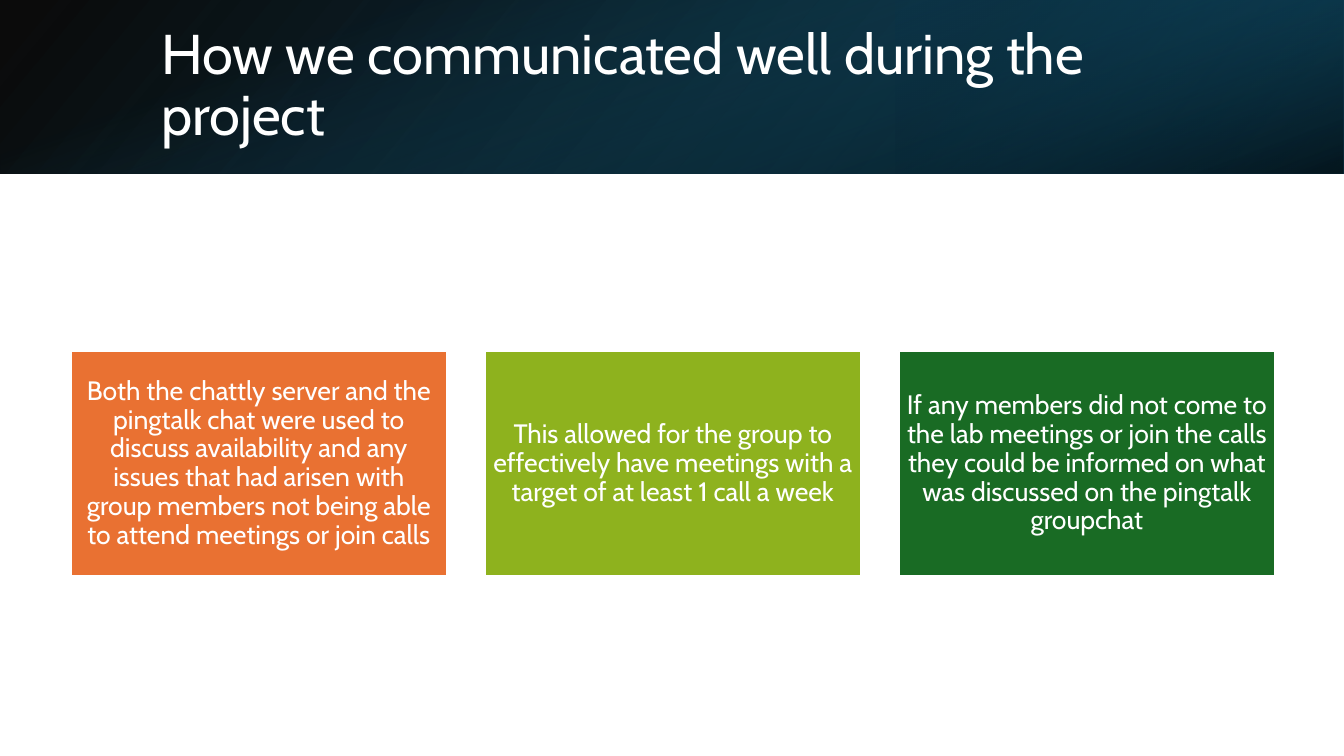
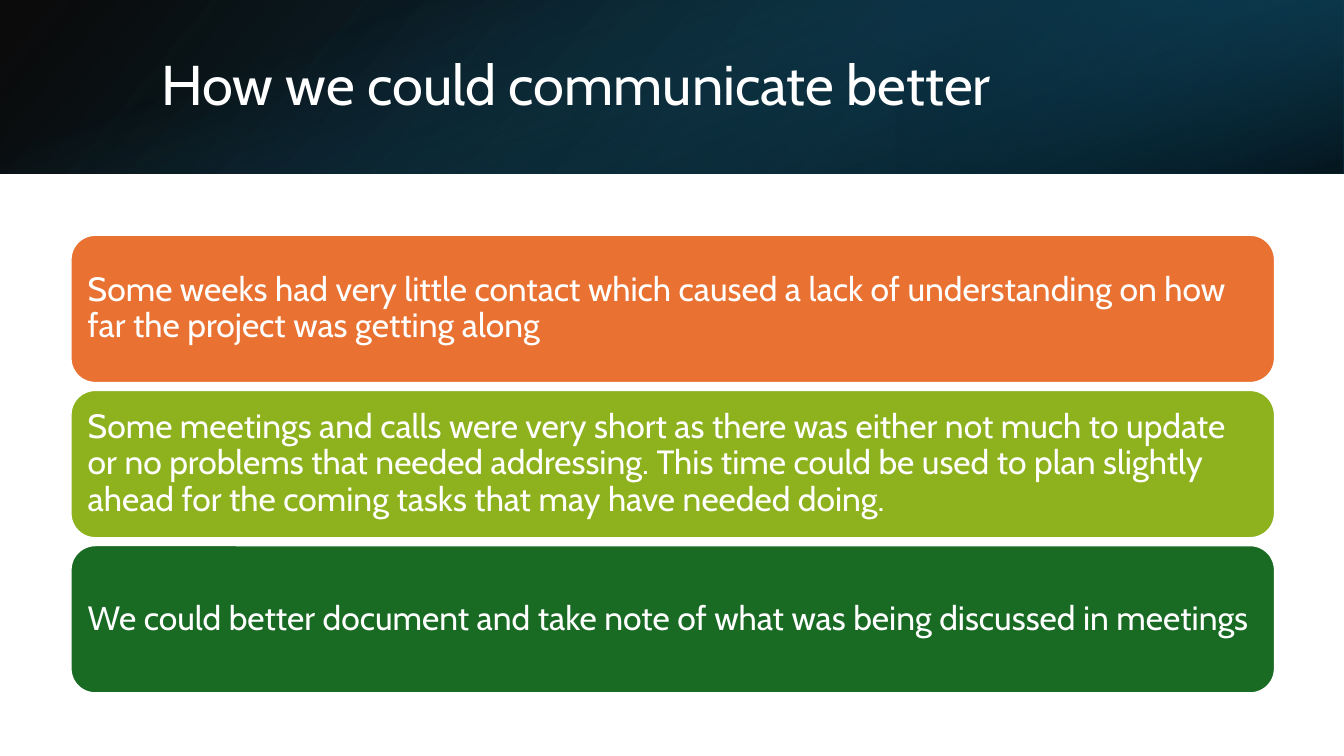
from pptx import Presentation
from pptx.dml.color import RGBColor
from pptx.enum.shapes import MSO_SHAPE
from pptx.enum.text import MSO_ANCHOR, MSO_AUTO_SIZE, PP_ALIGN
from pptx.oxml.ns import qn
from pptx.util import Cm, Pt
from lxml.etree import SubElement

COLORS = {
    "white": "FFFFFF",
    "black": "000000",
    "navy": "0B3041",
    "deep_teal": "104862",
    "teal": "156082",
    "orange": "E97132",
    "lime": "8EB21E",
    "green": "196B24",
}
ACCENTS = ["orange", "lime", "green"]
FONT = "Cabin"
SLIDE_WIDTH, SLIDE_HEIGHT = 33.87, 19.05
BAND_HEIGHT = 4.37
MARGIN = 1.78
CONTENT_WIDTH = 30.35


def rgb(name):
    return RGBColor.from_string(COLORS[name])


class Deck:
    def __init__(self):
        self.prs = Presentation()
        self.prs.slide_width = Cm(SLIDE_WIDTH)
        self.prs.slide_height = Cm(SLIDE_HEIGHT)
        self.slide = None

    def new_slide(self, heading):
        self.slide = self.prs.slides.add_slide(self.prs.slide_layouts[5])
        self.header_band()
        self.title(heading)

    def shape(self, kind, left, top, width, height):
        shape = self.slide.shapes.add_shape(
            kind, Cm(left), Cm(top), Cm(width), Cm(height))
        shape.shadow.inherit = False
        return shape

    def gradient(self, box, stops, angle, rotation=0, flip=False):
        """Add a layer; stops are (position %, colour, opacity %), angle is clockwise."""
        layer = self.shape(MSO_SHAPE.RECTANGLE, *box)
        layer.rotation = rotation
        layer.line.fill.background()
        if flip:
            layer.element.spPr.xfrm.set("flipH", "1")
        layer.fill.gradient()
        layer.fill.gradient_angle = 360 - angle
        for stop, (position, color, _) in zip(layer.fill.gradient_stops, stops):
            stop.position = position / 100
            stop.color.rgb = rgb(color)
        tints = layer.element.spPr.iter(qn("a:srgbClr"))
        for tint, (_, _, opacity) in zip(tints, stops):
            SubElement(tint, qn("a:alpha")).set("val", str(opacity * 1000))

    def header_band(self):
        third = SLIDE_WIDTH / 3
        # The last layer is upright before its quarter turn
        offset = (SLIDE_WIDTH - BAND_HEIGHT) / 2
        self.gradient((0, 0, SLIDE_WIDTH, BAND_HEIGHT),
                      [(0, "black", 96), (100, "deep_teal", 100)],
                      140, flip=True)
        self.gradient((2 * third, 0, third, BAND_HEIGHT),
                      [(19, "navy", 68), (100, "teal", 79)],
                      320, rotation=180, flip=True)
        self.gradient((offset, -offset, BAND_HEIGHT, SLIDE_WIDTH),
                      [(23, "teal", 0), (99, "black", 74)],
                      340, rotation=90)

    def fill_text(self, frame, text, size, align):
        frame.word_wrap = True
        frame.auto_size = MSO_AUTO_SIZE.NONE
        frame.vertical_anchor = MSO_ANCHOR.MIDDLE
        paragraph = frame.paragraphs[0]
        paragraph.alignment = align
        paragraph.line_spacing = 0.9
        run = paragraph.add_run()
        run.text = text
        run.font.name = FONT
        run.font.size = Pt(size)
        run.font.color.rgb = rgb("white")

    def title(self, text):
        title = self.slide.shapes.title
        title.left, title.top = Cm(3.81), Cm(0.97)
        title.width, title.height = Cm(27.89), Cm(2.44)
        self.fill_text(title.text_frame, text, 40, PP_ALIGN.LEFT)
        # Bring the title in front of the band
        title.element.getparent().append(title.element)

    def panel(self, kind, box, color, text, size, align, inset):
        panel = self.shape(kind, *box)
        panel.fill.solid()
        panel.fill.fore_color.rgb = rgb(color)
        panel.line.color.rgb = rgb("white")
        panel.line.width = Pt(1.5)
        frame = panel.text_frame
        frame.margin_left = frame.margin_right = Cm(inset)
        frame.margin_top = frame.margin_bottom = Cm(inset)
        self.fill_text(frame, text, size, align)

    def card_row(self, texts, top=8.84, height=5.69, gap=0.95):
        width = (CONTENT_WIDTH - gap * (len(texts) - 1)) / len(texts)
        for i, (text, color) in enumerate(zip(texts, ACCENTS)):
            box = (MARGIN + i * (width + gap), top, width, height)
            self.panel(MSO_SHAPE.RECTANGLE, box, color, text,
                       19, PP_ALIGN.CENTER, 0.19)

    def bar_stack(self, texts, top=5.92, height=3.73, gap=0.18):
        for i, (text, color) in enumerate(zip(texts, ACCENTS)):
            box = (MARGIN, top + i * (height + gap), CONTENT_WIDTH, height)
            self.panel(MSO_SHAPE.ROUNDED_RECTANGLE, box, color, text,
                       24, PP_ALIGN.LEFT, 0.25)


def main():
    deck = Deck()

    deck.new_slide("How we communicated well during the project")
    deck.card_row([
        "Both the chattly server and the pingtalk chat were used to discuss "
        "availability and any issues that had arisen with group members not "
        "being able to attend meetings or join calls",
        "This allowed for the group to effectively have meetings with a "
        "target of at least 1 call a week",
        "If any members did not come to the lab meetings or join the calls "
        "they could be informed on what was discussed on the pingtalk "
        "groupchat",
    ])

    deck.new_slide("How we could communicate better")
    deck.bar_stack([
        "Some weeks had very little contact which caused a lack of "
        "understanding on how far the project was getting along",
        "Some meetings and calls were very short as there was either not "
        "much to update or no problems that needed addressing. This time "
        "could be used to plan slightly ahead for the coming tasks that may "
        "have needed doing.",
        "We could better document and take note of what was being discussed "
        "in meetings",
    ])

    deck.prs.save("out.pptx")


if __name__ == "__main__":
    main()
